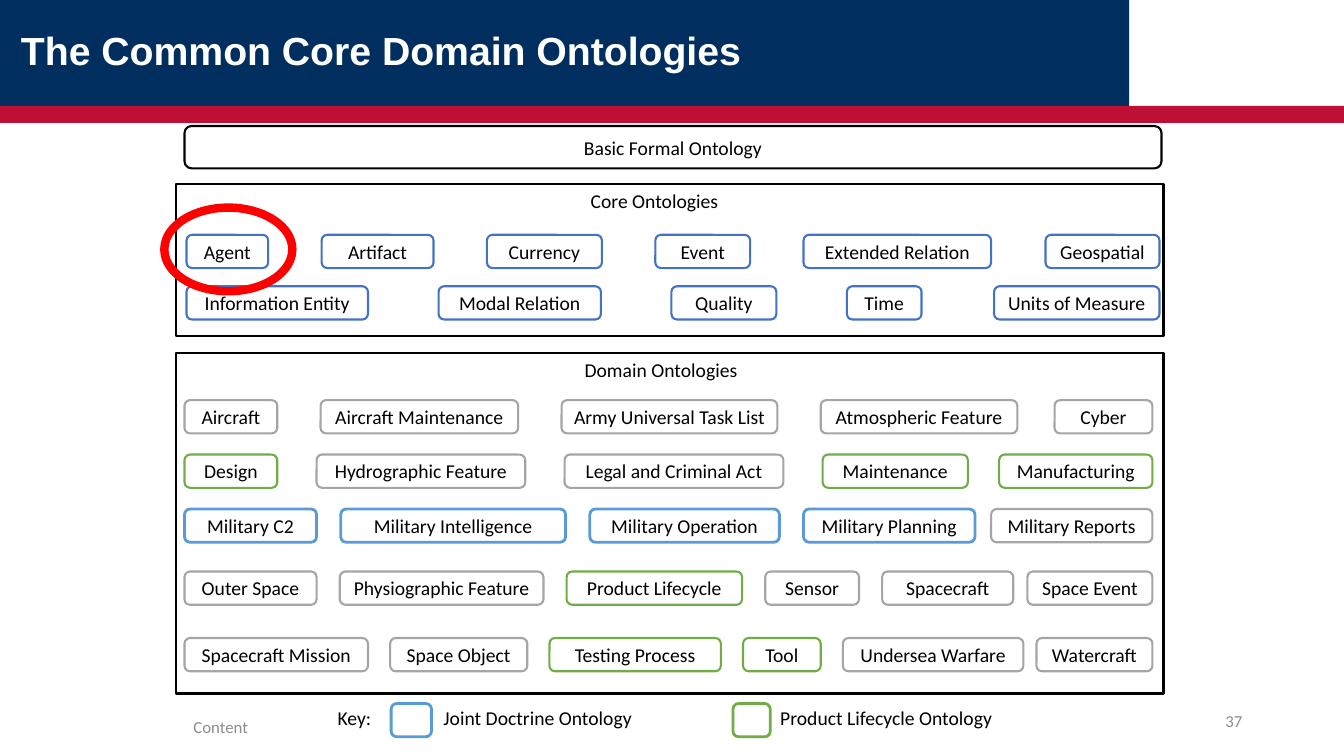
from pptx import Presentation
from pptx.dml.color import RGBColor
from pptx.enum.shapes import MSO_SHAPE
from pptx.enum.text import MSO_ANCHOR, PP_ALIGN
from pptx.util import Inches, Pt

RECT, ROUNDED, ELLIPSE = MSO_SHAPE.RECTANGLE, MSO_SHAPE.ROUNDED_RECTANGLE, MSO_SHAPE.OVAL
LEFT, CENTER, RIGHT = PP_ALIGN.LEFT, PP_ALIGN.CENTER, PP_ALIGN.RIGHT
TOP, MIDDLE = MSO_ANCHOR.TOP, MSO_ANCHOR.MIDDLE

NAVY = RGBColor(0x00, 0x2E, 0x5F)
CRIMSON = RGBColor(0xBE, 0x0F, 0x34)
WHITE = RGBColor(0xFF, 0xFF, 0xFF)
BLACK = RGBColor(0x00, 0x00, 0x00)
FOOTER_GRAY = RGBColor(0x8C, 0x8C, 0x8C)
CORE_BLUE = RGBColor(0x44, 0x72, 0xC4)
GRAY = RGBColor(0xA5, 0xA5, 0xA5)
JOINT_BLUE = RGBColor(0x5B, 0x9B, 0xD5)
LIFECYCLE_GREEN = RGBColor(0x70, 0xAD, 0x47)
RED = RGBColor(0xFF, 0x00, 0x00)

PILL_HEIGHT = 0.33

# Each row: top, gap, then (name, width) from left to right
CORE_ROWS = [
    (2.33, 0.53, [("Agent", 0.81), ("Artifact", 1.11), ("Currency", 1.14), ("Event", 0.94),
                  ("Extended Relation", 1.86), ("Geospatial", 1.13)]),
    (2.84, 0.7, [("Information Entity", 1.8), ("Modal Relation", 1.61), ("Quality", 1.04),
                 ("Time", 0.74), ("Units of Measure", 1.64)]),
]
DOMAIN_ROWS = [
    (3.97, 0.43, [("Aircraft", 0.92), ("Aircraft Maintenance", 1.96),
                  ("Army Universal Task List", 2.14), ("Atmospheric Feature", 1.95),
                  ("Cyber", 0.97)]),
    (4.51, 0.39, [("Design", 0.92), ("Hydrographic Feature", 2.07),
                  ("Legal and Criminal Act", 2.17), ("Maintenance", 1.44),
                  ("Manufacturing", 1.52)]),
    (5.05, 0.24, [("Military C2", 1.31), ("Military Intelligence", 2.23),
                  ("Military Operation", 1.88), ("Military Planning", 1.7),
                  ("Military Reports", 1.6)]),
    (5.67, 0.23, [("Outer Space", 1.31), ("Physiographic Feature", 2.02),
                  ("Product Lifecycle", 1.74), ("Sensor", 0.93), ("Spacecraft", 1.3),
                  ("Space Event", 1.24)]),
    (6.33, 0.22, [("Spacecraft Mission", 1.82), ("Space Object", 1.36),
                  ("Testing Process", 1.7), ("Tool", 0.77), ("Undersea Warfare", 1.79),
                  ("Watercraft", 1.15)]),
]
JOINT_DOCTRINE = {"Military C2", "Military Intelligence", "Military Operation",
                  "Military Planning"}
PRODUCT_LIFECYCLE = {"Design", "Maintenance", "Manufacturing", "Product Lifecycle",
                     "Testing Process", "Tool"}


class OntologySlide:
    font = "Calibri"
    size = 14

    def __init__(self, slide):
        self.shapes = slide.shapes

    def add_text(self, frame, text, align, anchor, size=None, color=BLACK, font=None,
                 bold=False):
        frame.word_wrap = True
        frame.vertical_anchor = anchor
        paragraph = frame.paragraphs[0]
        paragraph.alignment = align
        run = paragraph.add_run()
        run.text = text
        run.font.name = font or self.font
        run.font.size = Pt(size or self.size)
        run.font.color.rgb = color
        run.font.bold = bold
        return paragraph

    def shape(self, kind, left, top, width, height, fill=None, line=None, weight=1.5, text=None):
        shape = self.shapes.add_shape(kind, Inches(left), Inches(top), Inches(width),
                                      Inches(height))
        shape.shadow.inherit = False
        if fill is None:
            shape.fill.background()
        else:
            shape.fill.solid()
            shape.fill.fore_color.rgb = fill
        if line is None:
            shape.line.fill.background()
        else:
            shape.line.color.rgb = line
            shape.line.width = Pt(weight)
        if text:
            frame = shape.text_frame
            frame.margin_left = frame.margin_right = 0
            self.add_text(frame, text, CENTER, MIDDLE)

    def label(self, text, left, top, width, height=0.4, align=LEFT, anchor=TOP, **style):
        box = self.shapes.add_textbox(Inches(left), Inches(top), Inches(width), Inches(height))
        return self.add_text(box.text_frame, text, align, anchor, **style)

    def pill_row(self, row, left, right, color_of, fill=None):
        """Evenly spaced pills; the last one ends at the right edge."""
        top, gap, pills = row
        for name, width in pills:
            if name == pills[-1][0]:
                left = right - width
            color = color_of(name)
            self.shape(ROUNDED, left, top, width, PILL_HEIGHT, fill, color,
                       2 if color == JOINT_BLUE else 1.5, name)
            left += width + gap


def domain_color(name):
    if name in JOINT_DOCTRINE:
        return JOINT_BLUE
    return LIFECYCLE_GREEN if name in PRODUCT_LIFECYCLE else GRAY


def main():
    deck = Presentation()
    deck.slide_width, deck.slide_height = Inches(13.33), Inches(7.5)
    page = OntologySlide(deck.slides.add_slide(deck.slide_layouts[6]))

    # Title band
    page.shape(RECT, 0, 0, 11.2, 1.05, NAVY)
    page.shape(RECT, 0, 1.05, 13.33, 0.17, CRIMSON)
    title = page.label("The Common Core Domain Ontologies", 0.11, 0.04, 10.78, 0.96,
                       anchor=MIDDLE, size=28, color=WHITE, font="Arial", bold=True)
    title.line_spacing = 0.9

    # Top-level ontology
    page.shape(ROUNDED, 1.83, 1.25, 9.69, 0.42, line=BLACK, text="Basic Formal Ontology")

    # Core ontologies
    for row in CORE_ROWS:
        page.pill_row(row, 1.85, 11.5, lambda name: CORE_BLUE)
    page.shape(RECT, 1.75, 1.83, 9.79, 1.5, line=BLACK)
    page.label("Core Ontologies", 5.76, 1.83, 1.84)

    # Domain ontologies
    for row in DOMAIN_ROWS:
        page.pill_row(row, 1.83, 11.43, domain_color, WHITE)
    page.shape(RECT, 1.75, 3.5, 9.79, 3.38, line=BLACK)
    page.label("Domain Ontologies", 5.7, 3.5, 2.17)

    # Key
    page.label("Key:", 3.25, 6.95, 0.64)
    for name, color, left, width, name_left, name_width in (
            ("Joint Doctrine Ontology", JOINT_BLUE, 3.88, 0.4, 4.3, 2.63),
            ("Product Lifecycle Ontology", LIFECYCLE_GREEN, 7.27, 0.37, 7.64, 2.93)):
        page.shape(ROUNDED, left, 6.98, width, PILL_HEIGHT, line=color, weight=2)
        page.label(name, name_left, 6.95, name_width)

    # Footer
    page.label("Content", 1.82, 7.01, 1.07, anchor=MIDDLE, size=12, color=FOOTER_GRAY)
    page.label("37", 9.42, 6.95, 3, align=RIGHT, anchor=MIDDLE, size=12, color=FOOTER_GRAY)

    # Highlight around Agent
    page.shape(ELLIPSE, 1.63, 2.06, 1.27, 0.83, line=RED, weight=6)

    deck.save("out.pptx")


if __name__ == "__main__":
    main()
